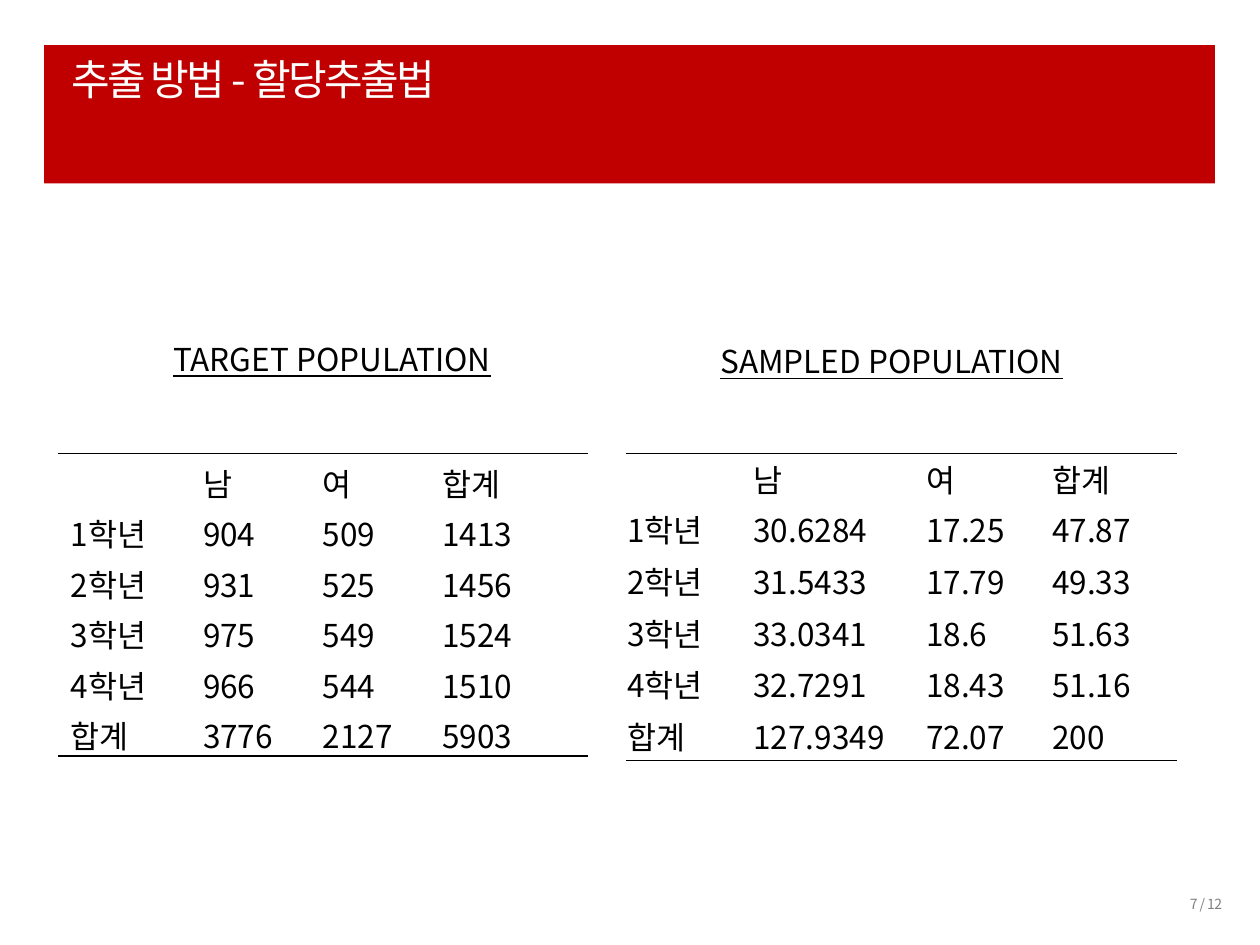
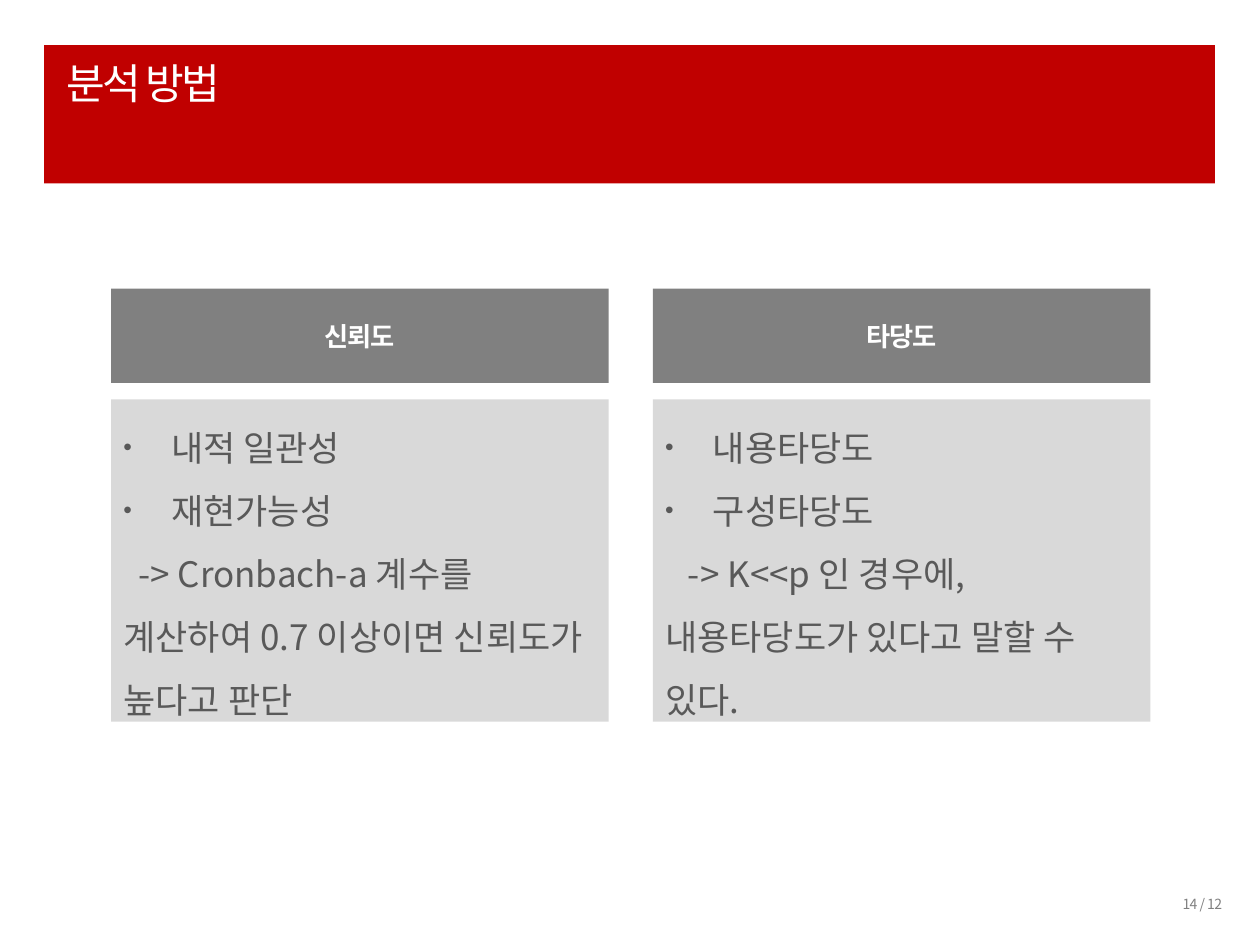
from pptx import Presentation
from pptx.dml.color import RGBColor
from pptx.enum.shapes import MSO_SHAPE
from pptx.enum.text import MSO_ANCHOR, PP_ALIGN
from pptx.oxml.ns import qn
from pptx.util import Cm, Pt
from lxml import etree

RECTANGLE = MSO_SHAPE.RECTANGLE
TOP, MIDDLE = MSO_ANCHOR.TOP, MSO_ANCHOR.MIDDLE
LEFT, CENTER, RIGHT = PP_ALIGN.LEFT, PP_ALIGN.CENTER, PP_ALIGN.RIGHT

FONT = "Noto Sans CJK KR"
RED, WHITE, BLACK = "C00000", "FFFFFF", "000000"
GRAY, PALE_GRAY, DARK_GRAY = "808080", "D9D9D9", "595959"
PLAIN_TABLE = "{2D5ABB26-0587-4C30-8999-92F81FD0307C}"

HEADER = ["", "남", "여", "합계"]
TARGET_ROWS = [
    HEADER,
    ["1학년", "904", "509", "1413"],
    ["2학년", "931", "525", "1456"],
    ["3학년", "975", "549", "1524"],
    ["4학년", "966", "544", "1510"],
    ["합계", "3776", "2127", "5903"],
]
SAMPLED_ROWS = [
    HEADER,
    ["1학년", "30.6284", "17.25", "47.87"],
    ["2학년", "31.5433", "17.79", "49.33"],
    ["3학년", "33.0341", "18.6", "51.63"],
    ["4학년", "32.7291", "18.43", "51.16"],
    ["합계", "127.9349", "72.07", "200"],
]


def color(value):
    return RGBColor.from_string(value)


def add_span(para, text, size, ink, bold=False, underline=False, spacing=0):
    span = para.add_run()
    span.text = text
    font = span.font
    font.size, font.bold, font.underline = Pt(size), bold, underline
    font.color.rgb = color(ink)
    font.name = FONT
    properties = span._r.get_or_add_rPr()
    etree.SubElement(properties, qn("a:ea")).set("typeface", FONT)
    if spacing:
        properties.set("spc", str(round(spacing * 100)))


def add_text(page, text, left, top, width, height, size, ink, align=LEFT, **style):
    frame = page.shapes.add_textbox(Cm(left), Cm(top), Cm(width), Cm(height)).text_frame
    frame.word_wrap = True
    para = frame.paragraphs[0]
    para.alignment = align
    add_span(para, text, size, ink, **style)
    return para


def add_box(page, left, top, width, height, fill, anchor=TOP):
    box = page.shapes.add_shape(RECTANGLE, Cm(left), Cm(top), Cm(width), Cm(height))
    box.shadow.inherit = False
    box.fill.solid()
    box.fill.fore_color.rgb = color(fill)
    box.line.fill.background()
    box.text_frame.word_wrap = True
    box.text_frame.vertical_anchor = anchor
    return box


def add_page(deck, title, title_left, title_top, number):
    page = deck.slides.add_slide(deck.slide_layouts[6])
    add_box(page, 0.89, 0.91, 23.6, 2.79, RED)
    add_text(page, number, 20.5, 17.93, 4.39, 0.61, 8, GRAY, RIGHT, spacing=-0.3)
    para = add_text(page, title, title_left, title_top, 22.86, 2.41, 24, WHITE, spacing=-1.5)
    para.line_spacing = 0.9
    return page


def add_rule(cell, side):
    line = etree.Element(qn(f"a:{side}"), w=str(Pt(1)))
    fill = etree.SubElement(line, qn("a:solidFill"))
    etree.SubElement(fill, qn("a:srgbClr")).set("val", BLACK)
    cell._tc.get_or_add_tcPr().insert(0, line)


def add_grid(page, rows, left, top, widths, heights, tight=False):
    frame = page.shapes.add_table(
        len(rows), len(widths), Cm(left), Cm(top), Cm(sum(widths)), Cm(sum(heights))
    )
    table = frame.table
    table.first_row = table.horz_banding = False
    table._tbl.tblPr.find(qn("a:tableStyleId")).text = PLAIN_TABLE
    for column, width in zip(table.columns, widths):
        column.width = Cm(width)
    for row_index, (values, height) in enumerate(zip(rows, heights)):
        table.rows[row_index].height = Cm(height)
        for column_index, value in enumerate(values):
            cell = table.cell(row_index, column_index)
            cell.fill.background()
            if tight:
                cell.vertical_anchor = MIDDLE
                cell.margin_left = cell.margin_right = cell.margin_top = Cm(0.03)
                cell.margin_bottom = Cm(0)
            if value:
                add_span(cell.text_frame.paragraphs[0], value, 18, BLACK)
            if row_index == 0:
                add_rule(cell, "lnT")
            if row_index == len(rows) - 1:
                add_rule(cell, "lnB")


def add_bullet(para):
    properties = para._p.get_or_add_pPr()
    properties.set("marL", str(Cm(0.96)))
    properties.set("indent", str(-Cm(0.96)))
    etree.SubElement(properties, qn("a:buSzPct")).set("val", "70000")
    etree.SubElement(properties, qn("a:buFont")).set("typeface", "Arial")
    etree.SubElement(properties, qn("a:buChar")).set("char", "•")


def add_panel(page, left, heading, bullets, conclusion, indent):
    head = add_box(page, left, 5.82, 10.03, 1.9, GRAY, MIDDLE)
    para = head.text_frame.paragraphs[0]
    para.alignment = CENTER
    add_span(para, heading, 15, WHITE, bold=True, spacing=-0.5)

    frame = add_box(page, left, 8.05, 10.03, 6.5, PALE_GRAY).text_frame
    for index, text in enumerate([*bullets, conclusion]):
        para = frame.add_paragraph() if index else frame.paragraphs[0]
        para.alignment = LEFT
        para.line_spacing = 1.5
        if index < len(bullets):
            add_bullet(para)
        else:
            para._p.get_or_add_pPr().set("indent", str(Cm(indent)))
        add_span(para, text, 20, DARK_GRAY)


def add_sampling_page(deck):
    page = add_page(deck, "추출 방법 - 할당추출법", 1.19, 1.07, "7 / 12")
    add_grid(page, TARGET_ROWS, 1.17, 9.14, [2.67, 2.41, 2.41, 3.2], [1] * 6)
    add_grid(page, SAMPLED_ROWS, 12.62, 9.14, [2.54, 3.48, 2.54, 2.54],
             [0.99] + [1.04] * 5, tight=True)
    for text, left, top in (("TARGET POPULATION", 1.5, 6.73),
                            ("SAMPLED POPULATION", 12.78, 6.78)):
        add_text(page, text, left, top, 10.39, 1.02, 18, BLACK, CENTER, underline=True)


def add_analysis_page(deck):
    page = add_page(deck, "분석 방법", 1.09, 1.14, "14 / 12")
    add_panel(page, 2.24, "신뢰도", ["내적 일관성", "재현가능성"],
              "-> Cronbach-a 계수를 계산하여 0.7 이상이면 신뢰도가 높다고 판단", 0.3)
    add_panel(page, 13.16, "타당도", ["내용타당도", "구성타당도"],
              "-> K<<p 인 경우에, 내용타당도가 있다고 말할 수 있다.", 0.46)


def main():
    deck = Presentation()
    deck.slide_width, deck.slide_height = Cm(25.4), Cm(19.05)
    add_sampling_page(deck)
    add_analysis_page(deck)
    deck.save("out.pptx")


if __name__ == "__main__":
    main()
